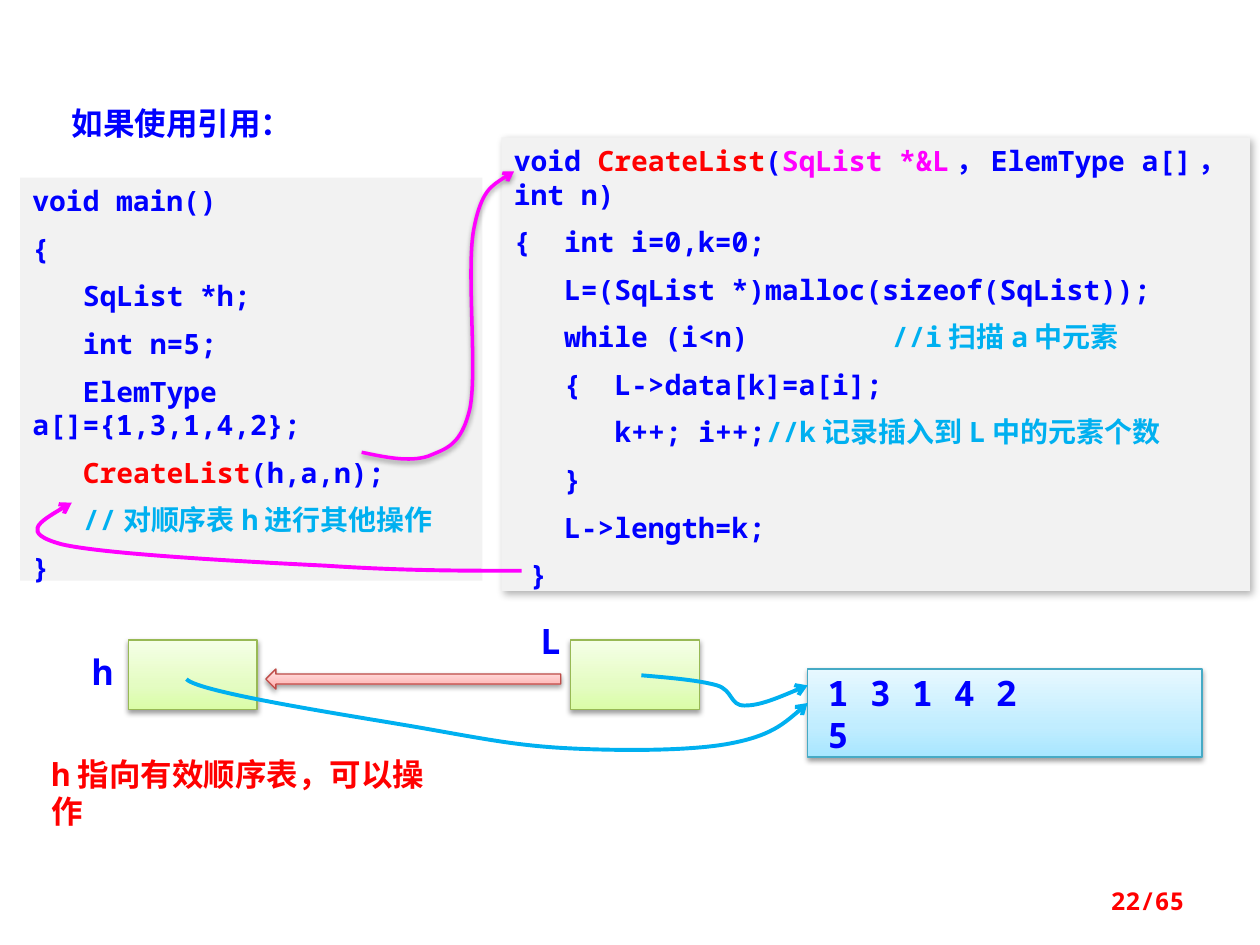
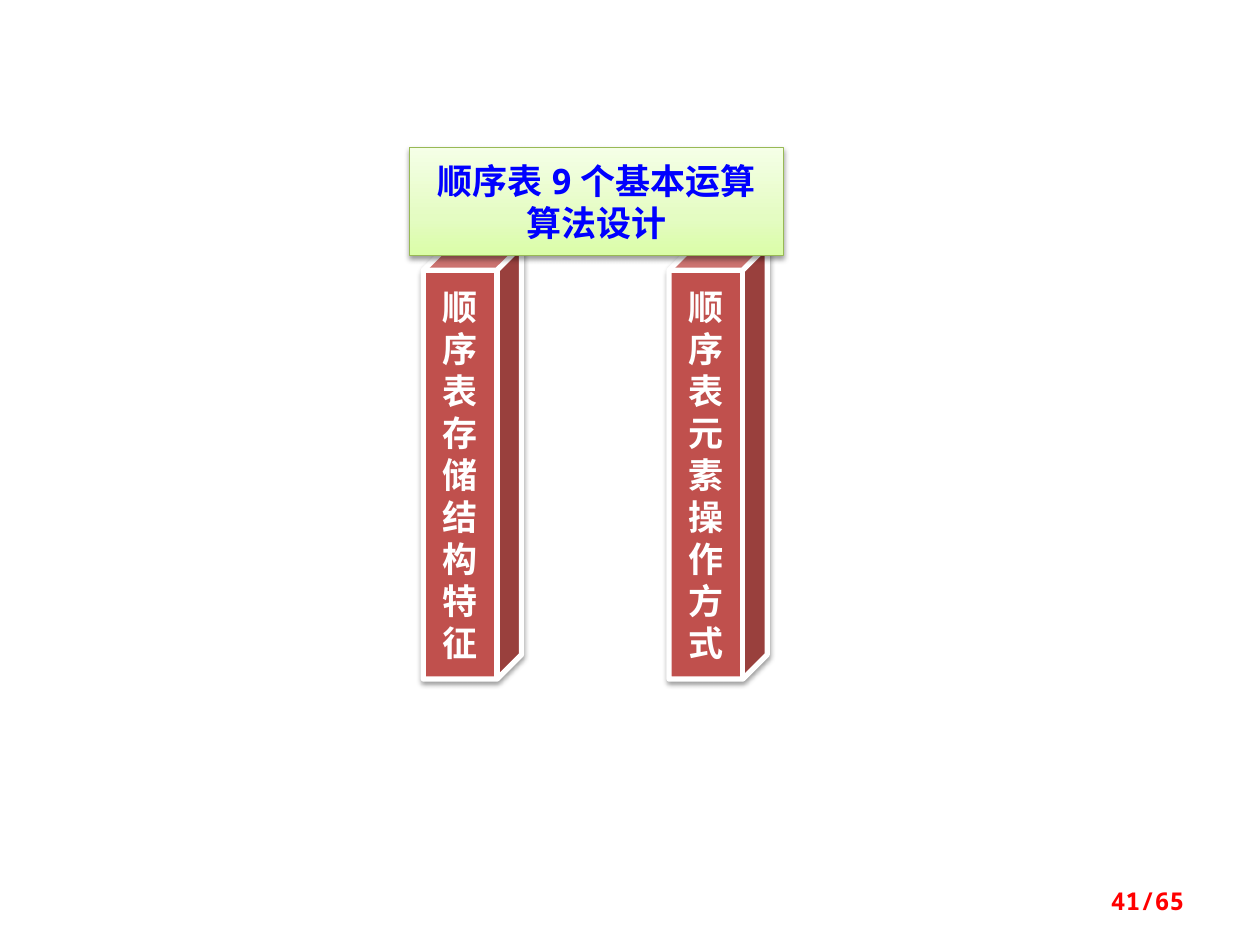
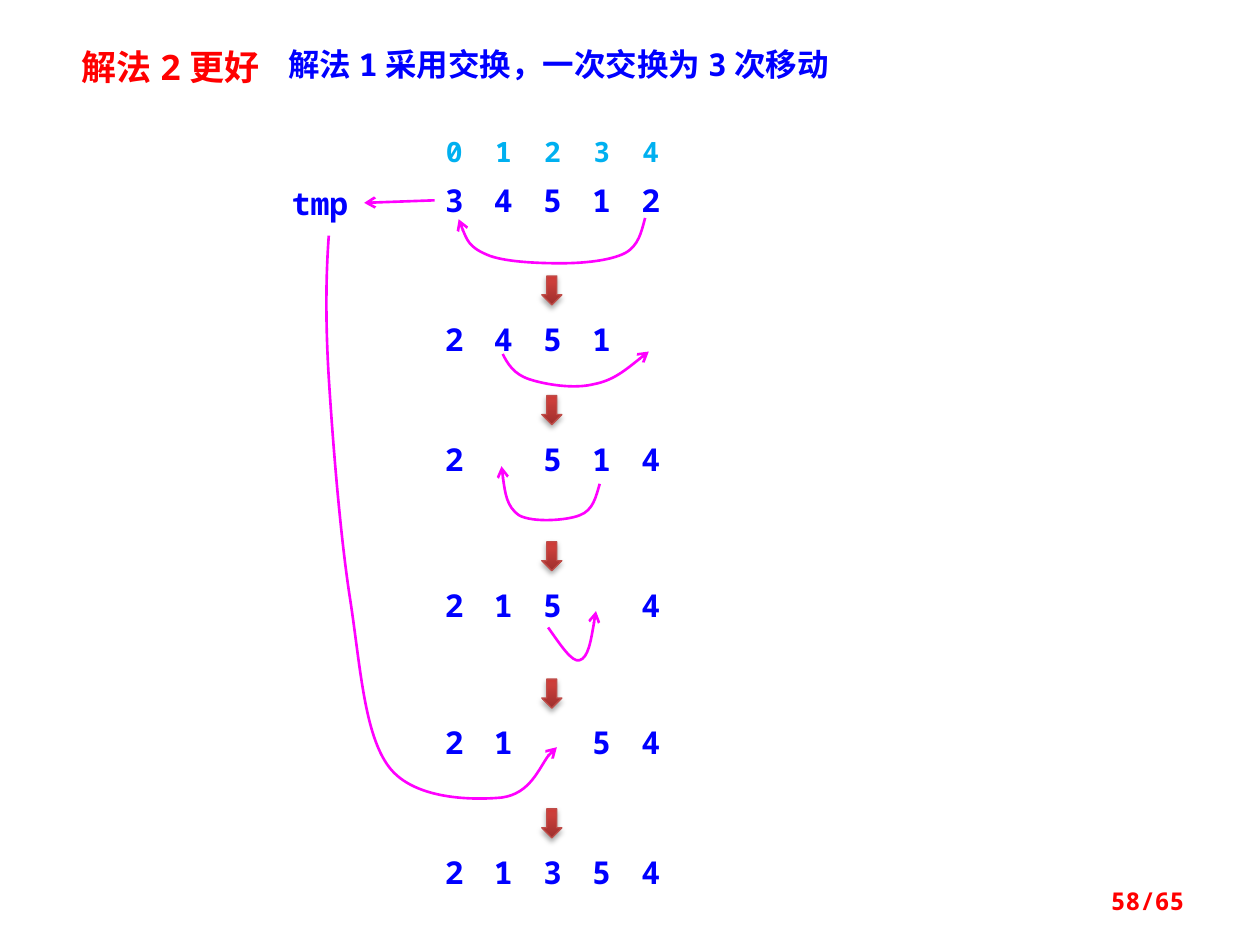
from lxml import etree
from pptx import Presentation
from pptx.dml.color import RGBColor
from pptx.enum.shapes import MSO_CONNECTOR, MSO_SHAPE
from pptx.enum.text import MSO_ANCHOR, PP_ALIGN
from pptx.oxml.ns import qn
from pptx.util import Inches, Pt

RECT, CUBE = MSO_SHAPE.RECTANGLE, MSO_SHAPE.CUBE
LEFT_ARROW, DOWN_ARROW = MSO_SHAPE.LEFT_ARROW, MSO_SHAPE.DOWN_ARROW
STRAIGHT = MSO_CONNECTOR.STRAIGHT
LEFT, CENTER, RIGHT = PP_ALIGN.LEFT, PP_ALIGN.CENTER, PP_ALIGN.RIGHT
TOP, MIDDLE = MSO_ANCHOR.TOP, MSO_ANCHOR.MIDDLE

MONO, CJK_SC, CJK_JP = "Noto Sans Mono", "Noto Sans CJK SC", "Noto Sans CJK JP"
BLUE, RED, PINK, SKY = "0000FF", "FF0000", "FF00FF", "00B0F0"
WHITE, GREY, BRICK = "FFFFFF", "F2F2F2", "C0504D"

SOFT_SHADOW = (38, 3.1, 1.6, 90)
PANEL_SHADOW = (30, 4.5, 2.6, 53)
GREEN_BOX = dict(fill=[(0, "DAFDA7"), (35, "E4FCC2"), (100, "F5FFE7")],
                 line=("98B955", 0.75), shadow=SOFT_SHADOW)
SKY_BOX = dict(fill=[(0, "A7E6FF"), (35, "C1EDFF"), (100, "E7F8FF")],
               line=("46AAC5", 0.75), shadow=SOFT_SHADOW)
ROSE_ARROW = dict(fill=[(0, "FFA6A5"), (35, "FFC0BF"), (100, "FFE7E7")],
                  line=("BF4C48", 0.75), shadow=SOFT_SHADOW)
STEP_ARROW = dict(fill=[(0, "9C2F2D"), (80, "CB3E3A"), (100, "CE3B37")],
                  line=("BF4C48", 0.75), shadow=(35, 3.1, 1.8, 90))
PILLAR = dict(fill=BRICK, line=(WHITE, 3), shadow=SOFT_SHADOW)

ONE, STEP = 0.13, 0.4
CREATE_CODE = [
    (0, [("void ", BLUE), ("CreateList", RED), ("(", BLUE), ("SqList *&L", PINK),
         ("，ElemType a[]，int n)", BLUE)]),
    (0, [("{  int i=0,k=0;", BLUE)]),
    (STEP, [("L=(SqList *)malloc(sizeof(SqList));", BLUE)]),
    (STEP, [("while (i<n)\t\t\t", BLUE), ("//i扫描a中元素", SKY)]),
    (STEP, [("{  L->data[k]=a[i];", BLUE)]),
    (2 * STEP, [("k++; i++;\t", BLUE), ("//k记录插入到L中的元素个数", SKY)]),
    (STEP, [("}", BLUE)]),
    (STEP, [("L->length=k;", BLUE)]),
    (ONE, [("}", BLUE)]),
]
MAIN_CODE = [
    (0, [("void main()", BLUE)]),
    (0, [("{", BLUE)]),
    (STEP, [("SqList *h;", BLUE)]),
    (STEP, [("int n=5;", BLUE)]),
    (STEP, [("ElemType a[]={1,3,1,4,2};", BLUE)]),
    (STEP, [("CreateList", RED), ("(h,a,n);", BLUE)]),
    (STEP, [("//对顺序表h进行其他操作", SKY)]),
    (0, [("}", BLUE)]),
]
LIST_DATA = [(0, [("1 3 1 4 2\n5", BLUE)])]

CALL_CURVE = [(2.87, 3.59), (3.06, 3.63), (3.25, 3.67), (3.4, 3.62), (3.54, 3.56),
              (3.66, 3.54), (3.73, 3.24), (3.79, 2.94), (3.7, 2.14), (3.76, 1.82),
              (3.82, 1.51), (3.95, 1.44), (4.08, 1.36)]
RETURN_CURVE = [(4.14, 4.53), (3.67, 4.53), (3.2, 4.53), (2.59, 4.49), (1.99, 4.46),
                (0.83, 4.4), (0.49, 4.32), (0.16, 4.23), (0.36, 4.11), (0.57, 3.99)]
L_CURVE = [(5.09, 5.36), (5.32, 5.38), (5.55, 5.4), (5.69, 5.44), (5.82, 5.48),
           (5.79, 5.6), (5.91, 5.6), (6.03, 5.6), (6.22, 5.52), (6.41, 5.44)]
H_CURVE = [(1.48, 5.39), (1.58, 5.5), (2.85, 5.69), (3.36, 5.78), (3.87, 5.87),
           (4.12, 5.92), (4.53, 5.94), (4.94, 5.96), (5.49, 5.96), (5.8, 5.9),
           (6.11, 5.84), (6.27, 5.71), (6.41, 5.58)]

PILLARS = [(3.36, "顺序表存储结构特征"), (5.31, "顺序表元素操作方式")]

DIGIT_LEFT, DIGIT_PITCH, DIGIT_WIDTH = 3.45, 0.39, 0.31
ARRAY_ROWS = [(1.39, "34512"), (2.49, "2451 "), (3.44, "2 514"),
              (4.6, "215 4"), (5.69, "21 54"), (6.72, "21354")]
MOVE_CURVES = [
    [(5.12, 1.73), (5.09, 1.84), (5.07, 1.95), (4.96, 2.01), (4.84, 2.07), (4.63, 2.09),
     (4.45, 2.09), (4.27, 2.09), (3.99, 2.08), (3.86, 2.02), (3.72, 1.96), (3.68, 1.85),
     (3.64, 1.74)],
    [(3.99, 2.81), (4.03, 2.89), (4.08, 2.97), (4.2, 3.01), (4.32, 3.05), (4.55, 3.09),
     (4.71, 3.05), (4.87, 3.02), (5.01, 2.9), (5.15, 2.79)],
    [(4.76, 3.84), (4.73, 3.94), (4.71, 4.05), (4.6, 4.09), (4.5, 4.13), (4.23, 4.15),
     (4.12, 4.09), (4.02, 4.02), (4, 3.86), (3.98, 3.7)],
    [(4.35, 4.98), (4.45, 5.12), (4.54, 5.26), (4.6, 5.24), (4.67, 5.22), (4.7, 5.03),
     (4.73, 4.85)],
    [(2.61, 1.87), (2.59, 2.14), (2.58, 2.51), (2.61, 3), (2.64, 3.48), (2.7, 4.25),
     (2.78, 4.76), (2.86, 5.28), (2.89, 5.83), (3.09, 6.09), (3.29, 6.35), (3.76, 6.35),
     (3.98, 6.33), (4.21, 6.3), (4.34, 5.96), (4.42, 5.93)],
]


def color(hex_text):
    return RGBColor.from_string(hex_text)


def add_node(parent, tag, **attrs):
    return etree.SubElement(parent, qn(tag), {k: str(v) for k, v in attrs.items()})


def add_color(parent, hex_text):
    return add_node(parent, "a:srgbClr", val=hex_text)


def set_fill(sp, fill):
    if fill is None:
        sp.fill.background()
    elif isinstance(fill, str):
        sp.fill.solid()
        sp.fill.fore_color.rgb = color(fill)
    else:
        sp.fill.gradient()
        sp.fill.gradient_angle = 90
        stops = sp._element.spPr.find(".//" + qn("a:gsLst"))
        for stop in list(stops):
            stops.remove(stop)
        for position, hex_text in fill:
            add_color(add_node(stops, "a:gs", pos=position * 1000), hex_text)


def set_line(sp, line):
    if line is None:
        sp.line.fill.background()
    else:
        sp.line.color.rgb = color(line[0])
        sp.line.width = Pt(line[1])


def set_shadow(sp, shadow):
    sp.shadow.inherit = False
    if shadow:
        alpha, blur, dist, angle = shadow
        effects = sp._element.spPr.find(qn("a:effectLst"))
        outer = add_node(effects, "a:outerShdw", blurRad=Pt(blur), dist=Pt(dist),
                         dir=angle * 60000, algn="t", rotWithShape=0)
        add_node(add_color(outer, "000000"), "a:alpha", val=alpha * 1000)


def style(sp, fill=None, line=None, shadow=None):
    set_fill(sp, fill)
    set_line(sp, line)
    set_shadow(sp, shadow)


def add_run(p, text, size, hex_text, font):
    r = p.add_run()
    r.text = text
    for name, value in dict(size=Pt(size), bold=True, name=font).items():
        setattr(r.font, name, value)
    r.font.color.rgb = color(hex_text)
    add_node(r._r.rPr, "a:ea", typeface=CJK_SC if font == MONO else font)


def write(sp, lines, size, align=LEFT, anchor=TOP, font=MONO, side=0.1):
    tf = sp.text_frame
    frame = dict(word_wrap=True, vertical_anchor=anchor, margin_left=Inches(side),
                 margin_right=Inches(min(side, 0.1)), margin_top=Inches(0.05),
                 margin_bottom=Inches(0.05))
    for name, value in frame.items():
        setattr(tf, name, value)
    for i, (indent, runs) in enumerate(lines):
        p = tf.add_paragraph() if i else tf.paragraphs[0]
        p.alignment = align
        p.line_spacing = Pt(size * 1.2)
        p.space_before = Pt(size / 2 if i else 0)
        pPr = p._p.get_or_add_pPr()
        pPr.set("marL", "0")
        pPr.set("indent", str(Inches(indent)))
        for text, hex_text in runs:
            for j, part in enumerate(text.split("\n")):
                if j:
                    p.add_line_break()
                add_run(p, part, size, hex_text, font)


def add_box(s, kind, at, look):
    sp = s.shapes.add_shape(kind, *map(Inches, at))
    style(sp, **look)
    return sp


def add_text(s, at, text, size, hex_text=BLUE, **layout):
    sp = s.shapes.add_textbox(*map(Inches, at))
    write(sp, [(0, [(text, hex_text)])], size, **layout)
    return sp


def add_arrowhead(sp):
    add_node(sp.line._get_or_add_ln(), "a:tailEnd", type="arrow")


def add_curve(s, points, hex_text, width, shadow=None):
    start, *rest = [(Inches(x), Inches(y)) for x, y in points]
    builder = s.shapes.build_freeform(*start)
    builder.add_line_segments(rest, close=False)
    sp = builder.convert_to_shape()
    segments = list(sp._element.iter(qn("a:lnTo")))
    outline = segments[0].getparent()
    for i in range(0, len(segments), 3):
        bezier = add_node(outline, "a:cubicBezTo")
        for segment in segments[i:i + 3]:
            bezier.append(segment[0])
            outline.remove(segment)
    style(sp, line=(hex_text, width), shadow=shadow)
    add_arrowhead(sp)


def add_slide(prs, page):
    s = prs.slides.add_slide(prs.slide_layouts[6])
    add_text(s, (7.17, 6.95, 2.33, 0.4), f"{page}/65", 14, RED, align=RIGHT, anchor=MIDDLE)
    return s


def build_reference_slide(prs):
    s = add_slide(prs, 22)
    panel = add_box(s, RECT, (3.98, 1.09, 5.94, 3.6), dict(fill=GREY, shadow=PANEL_SHADOW))
    write(panel, CREATE_CODE, 16)
    add_text(s, (0.47, 0.78, 2.5, 0.4), "如果使用引用：", 18, font=CJK_SC)
    panel = add_box(s, RECT, (0.16, 1.41, 3.67, 3.2), dict(fill=GREY))
    write(panel, MAIN_CODE, 16)
    add_text(s, (0.62, 5.11, 0.39, 0.44), "h", 20, align=CENTER)
    add_curve(s, CALL_CURVE, PINK, 2, SOFT_SHADOW)
    add_curve(s, RETURN_CURVE, PINK, 2.25)
    data = add_box(s, RECT, (6.41, 5.31, 3.13, 0.7), SKY_BOX)
    write(data, LIST_DATA, 20, anchor=MIDDLE, side=0.16)
    for left in (1.02, 4.53):
        add_box(s, RECT, (left, 5.08, 1.02, 0.55), GREEN_BOX)
    add_text(s, (4.06, 4.87, 0.63, 0.44), "L", 20, align=CENTER)
    add_curve(s, L_CURVE, SKY, 2.25)
    add_text(s, (0.31, 5.94, 3.36, 0.4), "h指向有效顺序表，可以操作", 18, RED)
    add_curve(s, H_CURVE, SKY, 2.25)
    add_box(s, LEFT_ARROW, (2.11, 5.31, 2.34, 0.16), ROSE_ARROW)


def build_pillar_slide(prs):
    s = add_slide(prs, 41)
    for left, text in PILLARS:
        pillar = add_box(s, CUBE, (left, 1.95, 0.78, 3.44), PILLAR)
        write(pillar, [(0, [(text, WHITE)])], 20, CENTER, MIDDLE, CJK_JP)
    beam = add_box(s, RECT, (3.25, 1.17, 2.97, 0.86), GREEN_BOX)
    write(beam, [(0, [("顺序表9个基本运算算法设计", BLUE)])], 20, CENTER, MIDDLE)


def add_digits(s, top, digits, size, hex_text):
    return [add_text(s, (DIGIT_LEFT + i * DIGIT_PITCH, top, DIGIT_WIDTH, 0.4), digit,
                     size, hex_text, align=CENTER, side=0)
            for i, digit in enumerate(digits) if digit != " "]


def build_moves_slide(prs):
    s = add_slide(prs, 58)
    add_text(s, (0.55, 0.31, 1.72, 0.44), "解法2更好", 20, RED)
    add_text(s, (2.19, 0.31, 4.53, 0.4), "解法1采用交换，一次交换为3次移动", 18)
    add_digits(s, 1.02, "01234", 16, SKY)
    rows = [add_digits(s, top, digits, 18, BLUE) for top, digits in ARRAY_ROWS]
    for top, _ in ARRAY_ROWS[1:]:
        add_box(s, DOWN_ARROW, (4.3, top - 0.3, 0.16, 0.23), STEP_ARROW)
    tmp = add_text(s, (2.19, 1.41, 0.7, 0.4), "tmp", 18, align=CENTER)
    save = s.shapes.add_connector(STRAIGHT, 0, 0, 0, 0)
    save.begin_connect(rows[0][0], 1)
    save.end_connect(tmp, 3)
    set_line(save, (PINK, 1.5))
    add_arrowhead(save)
    add_node(save._element.spPr, "a:effectLst")
    for points in MOVE_CURVES:
        add_curve(s, points, PINK, 1.5)


def main():
    prs = Presentation()
    prs.slide_width, prs.slide_height = Inches(10), Inches(7.5)
    build_reference_slide(prs)
    build_pillar_slide(prs)
    build_moves_slide(prs)
    prs.save("out.pptx")


if __name__ == "__main__":
    main()
